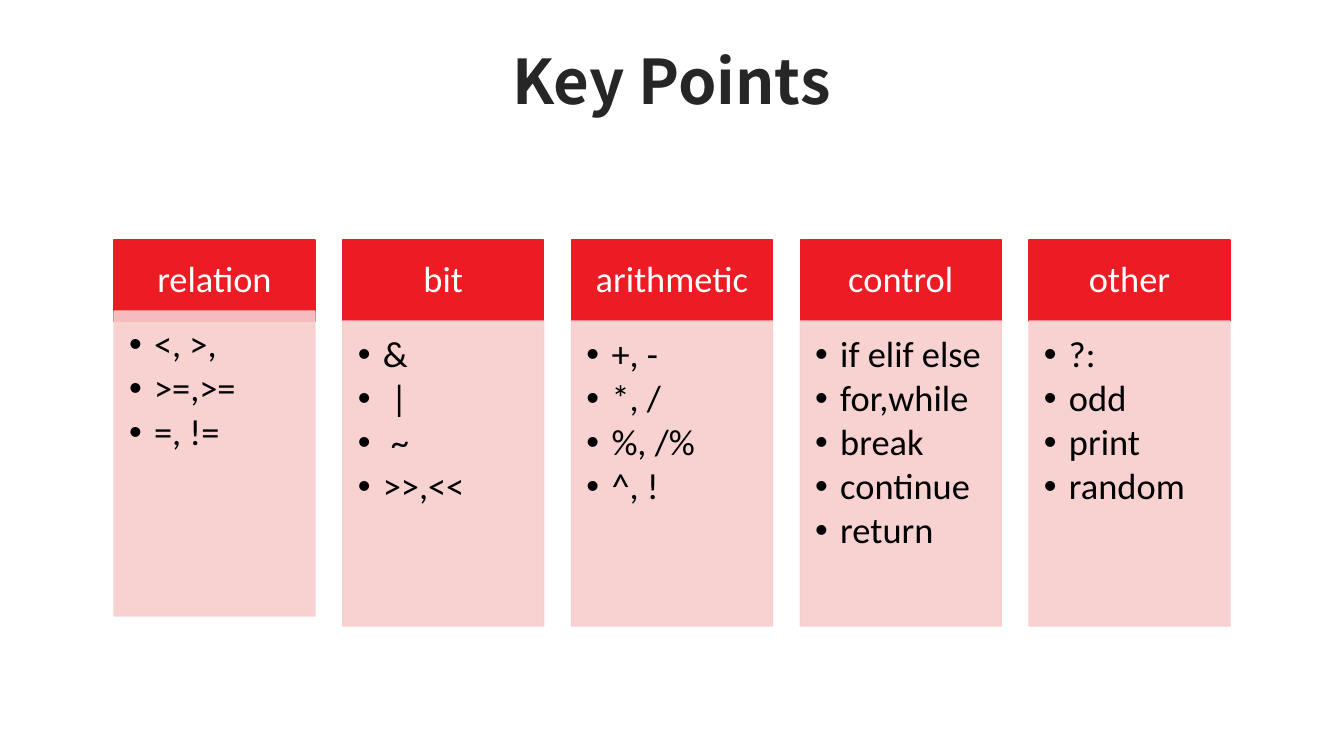
import pptx
import pptx.util
from pptx.dml.color import RGBColor
from pptx.enum.shapes import MSO_SHAPE
from pptx.enum.text import MSO_ANCHOR, PP_ALIGN
from pptx.oxml.ns import qn
from lxml import etree

TITLE = "Key Points"
GROUPS = [
    ("relation", ["<, >,", ">=,>=", "=, !="]),
    ("bit", ["&", " |", " ~", ">>,<<"]),
    ("arithmetic", ["+, -", "*, /", "%, /%", "^, !"]),
    ("control", ["if elif else", "for,while", "break", "continue", "return"]),
    ("other", ["?:", "odd", "print", "random"]),
]
COLORS = {"title": "262626", "header": "ED1C24", "body": "F8CDCD",
          "header_text": "FFFFFF", "body_text": "000000"}
TITLE_FONT, TEXT_FONT = "Noto Sans CJK SC", "Calibri"

SLIDE_W, SLIDE_H = 1344, 756
FIRST_LEFT, LAST_LEFT, COLUMN_W = 114, 1029, 201
HEADER_TOP, HEADER_H, BODY_H = 240, 81, 305
RAISED_GROUP, RAISED_BY = "relation", 10
BULLET_INDENT = 25
BODY_OPACITY = 90


def px(length):
    return pptx.util.Emu(round(length * 914400 / 100.8))


def add_line(paragraph, text, size, font, color, bold=False):
    paragraph.line_spacing = 0.9
    run = paragraph.add_run()
    run.text = text
    run.font.size = pptx.util.Pt(size)
    run.font.name = font
    run.font.bold = bold
    run.font.color.rgb = RGBColor.from_string(COLORS[color])


def set_frame(frame, anchor, insets):
    frame.word_wrap = True
    frame.vertical_anchor = anchor
    (frame.margin_left, frame.margin_top,
     frame.margin_right, frame.margin_bottom) = map(px, insets)


def add_box(slide, left, top, height, color):
    box = slide.shapes.add_shape(MSO_SHAPE.RECTANGLE, px(left), px(top), px(COLUMN_W), px(height))
    box.shadow.inherit = False
    box.fill.solid()
    box.fill.fore_color.rgb = RGBColor.from_string(COLORS[color])
    box.line.color.rgb = RGBColor.from_string(COLORS[color])
    box.line.width = pptx.util.Pt(1)
    return box


def add_bullet(paragraph):
    properties = paragraph._p.get_or_add_pPr()
    properties.set("marL", str(px(BULLET_INDENT)))
    properties.set("indent", str(-px(BULLET_INDENT)))
    etree.SubElement(properties, qn("a:buFont")).set("typeface", "Arial")
    etree.SubElement(properties, qn("a:buChar")).set("char", "•")


def add_header(slide, left, name):
    header = add_box(slide, left, HEADER_TOP, HEADER_H, "header")
    set_frame(header.text_frame, MSO_ANCHOR.MIDDLE, (20, 12, 20, 12))
    paragraph = header.text_frame.paragraphs[0]
    paragraph.alignment = PP_ALIGN.CENTER
    add_line(paragraph, name, 26, TEXT_FONT, "header_text")


def add_body(slide, left, top, items):
    body = add_box(slide, left, top, BODY_H, "body")
    for color in body._element.spPr.iter(qn("a:srgbClr")):
        etree.SubElement(color, qn("a:alpha")).set("val", str(BODY_OPACITY * 1000))
    frame = body.text_frame
    set_frame(frame, MSO_ANCHOR.TOP, (15, 15, 20, 23))
    for index, item in enumerate(items):
        paragraph = frame.add_paragraph() if index else frame.paragraphs[0]
        paragraph.alignment = PP_ALIGN.LEFT
        paragraph.space_after = pptx.util.Pt(3.4)
        add_line(paragraph, item, 26, TEXT_FONT, "body_text")
        add_bullet(paragraph)


def main():
    deck = pptx.Presentation()
    deck.slide_width, deck.slide_height = px(SLIDE_W), px(SLIDE_H)
    slide = deck.slides.add_slide(deck.slide_layouts[6])

    title = slide.shapes.add_textbox(px(197), px(41), px(949), px(88)).text_frame
    set_frame(title, MSO_ANCHOR.MIDDLE, (10, 5, 10, 5))
    title.paragraphs[0].alignment = PP_ALIGN.CENTER
    add_line(title.paragraphs[0], TITLE, 44, TITLE_FONT, "title", bold=True)

    pitch = (LAST_LEFT - FIRST_LEFT) / (len(GROUPS) - 1)
    for column, (name, items) in enumerate(GROUPS):
        left = FIRST_LEFT + column * pitch
        body_top = HEADER_TOP + HEADER_H - (RAISED_BY if name == RAISED_GROUP else 0)
        add_header(slide, left, name)
        add_body(slide, left, body_top, items)

    deck.save("out.pptx")


if __name__ == "__main__":
    main()
